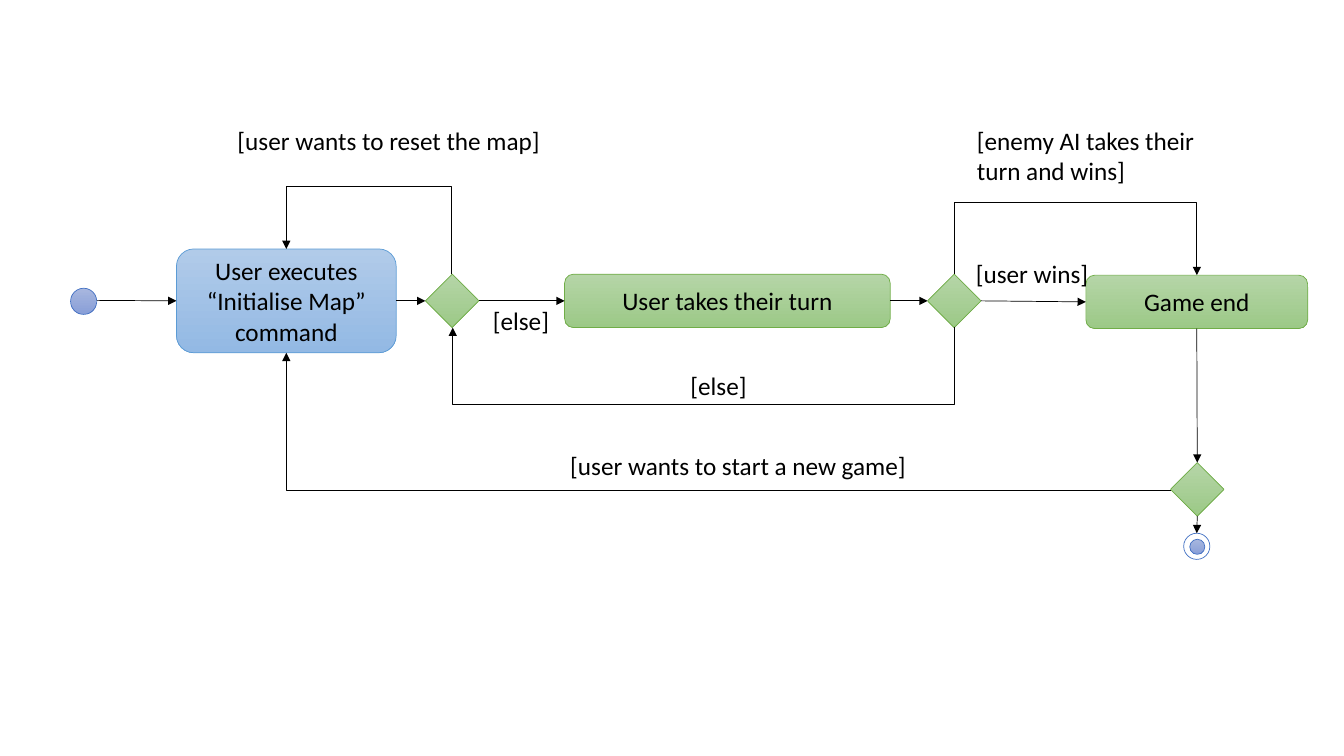
from lxml import etree
from pptx import Presentation
from pptx.dml.color import RGBColor
from pptx.enum.shapes import MSO_CONNECTOR, MSO_SHAPE
from pptx.enum.text import MSO_ANCHOR, MSO_AUTO_SIZE, PP_ALIGN
from pptx.oxml.ns import qn
from pptx.util import Inches, Pt

ELLIPSE, DIAMOND = MSO_SHAPE.OVAL, MSO_SHAPE.DIAMOND
ROUNDED = MSO_SHAPE.ROUNDED_RECTANGLE
STRAIGHT, ELBOW = MSO_CONNECTOR.STRAIGHT, MSO_CONNECTOR.ELBOW
LEFT_ALIGN, CENTER_ALIGN = PP_ALIGN.LEFT, PP_ALIGN.CENTER
MIDDLE, GROW = MSO_ANCHOR.MIDDLE, MSO_AUTO_SIZE.SHAPE_TO_FIT_TEXT
TOP, LEFT, BOTTOM, RIGHT = range(4)

BLACK = RGBColor(0x00, 0x00, 0x00)
WHITE = RGBColor(0xFF, 0xFF, 0xFF)
INDIGO = (RGBColor(0xA8, 0xB7, 0xDF), RGBColor(0x88, 0x9E, 0xD7))
INDIGO_LINE = RGBColor(0x44, 0x72, 0xC4)
BLUE = (RGBColor(0xB1, 0xCB, 0xE9), RGBColor(0x93, 0xB9, 0xE4))
BLUE_LINE = RGBColor(0x5B, 0x9B, 0xD5)
GREEN = (RGBColor(0xB5, 0xD5, 0xA7), RGBColor(0x9C, 0xC9, 0x87))
GREEN_LINE = RGBColor(0x70, 0xAD, 0x47)

FONT, TEXT_SIZE, LINE_WIDTH = "Calibri", Pt(18), Pt(0.5)
NODE_SIZE, DOT_SIZE = 0.53, 0.26


def write(text_frame, text, alignment):
    """Write one run of diagram text into a text frame."""
    text_frame.word_wrap = True
    paragraph = text_frame.paragraphs[0]
    paragraph.alignment = alignment
    run = paragraph.add_run()
    run.text = text
    run.font.name, run.font.size = FONT, TEXT_SIZE
    run.font.color.rgb = BLACK


def add_node(slide, kind, box, colors, line_color, text=None):
    """Add an outlined shape, shaded from top to bottom, with optional text."""
    shape = slide.shapes.add_shape(kind, *map(Inches, box))
    shape.shadow.inherit = False
    if colors:
        shape.fill.gradient()
        shape.fill.gradient_angle = 270
        for stop, color in zip(shape.fill.gradient_stops, colors):
            stop.color.rgb = color
    else:
        shape.fill.solid()
        shape.fill.fore_color.rgb = WHITE
    shape.line.color.rgb = line_color
    shape.line.width = LINE_WIDTH
    if text:
        shape.text_frame.vertical_anchor = MIDDLE
        write(shape.text_frame, text, CENTER_ALIGN)
    return shape


def add_decision(slide, left, top):
    """Add a green decision diamond."""
    return add_node(slide, DIAMOND, (left, top, NODE_SIZE, NODE_SIZE), GREEN, GREEN_LINE)


def add_label(slide, box, text, alignment=LEFT_ALIGN):
    """Add a guard label."""
    label = slide.shapes.add_textbox(*map(Inches, box))
    write(label.text_frame, text, alignment)
    label.text_frame.auto_size = GROW


def style_arrow(connector):
    """Give a connector a thin black line, a triangle head and no shadow."""
    connector.line.color.rgb = BLACK
    connector.line.width = LINE_WIDTH
    etree.SubElement(connector.line._get_or_add_ln(), qn("a:tailEnd"), type="triangle")
    etree.SubElement(connector._element.spPr, qn("a:effectLst"))


def add_arrow(slide, start, end, source=None, target=None):
    """Add a straight arrow, joined to (shape, side) pairs where given."""
    arrow = slide.shapes.add_connector(STRAIGHT, *map(Inches, start + end))
    if source:
        arrow.begin_connect(*source)
    if target:
        arrow.end_connect(*target)
    style_arrow(arrow)


def join(slide, source, source_side, target, target_side):
    """Add a straight arrow between the sides of two shapes."""
    add_arrow(slide, (0, 0), (1, 1), (source, source_side), (target, target_side))


def add_loop(slide, start, end, level):
    """Add a U-shaped arrow that runs along a horizontal level."""
    across, down = end[0] - start[0], end[1] - start[1]
    width, height = abs(down), abs(across)
    left = (start[0] + end[0] - width) / 2
    top = (start[1] + end[1] - height) / 2
    loop = slide.shapes.add_connector(
        ELBOW, *map(Inches, (left, top, left + width, top + height)))
    loop.rotation_element = None
    transform = loop._element.spPr.find(qn("a:xfrm"))
    if down > 0 and across < 0:
        transform.set("rot", "5400000")
    else:
        transform.set("rot", "16200000")
        transform.set("flipH" if down > 0 else "flipV", "1")
    guides = loop._element.spPr.find(qn("a:prstGeom")).find(qn("a:avLst"))
    bend = round((level - start[1]) / down * 100000)
    etree.SubElement(guides, qn("a:gd"), name="adj1", fmla=f"val {bend}")
    style_arrow(loop)


def add_return(slide, start, end):
    """Add an arrow that runs left and then up."""
    corner = slide.shapes.add_connector(ELBOW, *map(Inches, end + start))
    corner._element.spPr.find(qn("a:xfrm")).set("rot", "10800000")
    corner._element.spPr.find(qn("a:prstGeom")).set("prst", "bentConnector2")
    style_arrow(corner)


def draw_setup(slide, left, top):
    """Draw the start dot, map set-up and reset loop; return the decision."""
    add_node(slide, ELLIPSE, (left, top + 1.67, DOT_SIZE, DOT_SIZE), INDIGO, INDIGO_LINE)
    command = add_node(slide, ROUNDED, (left + 1.05, top + 1.28, 2.18, 1.03), BLUE,
                       BLUE_LINE, "User executes “Initialise Map” command")
    decision = add_decision(slide, left + 3.52, top + 1.53)
    add_arrow(slide, (left + DOT_SIZE, top + 1.79), (left + 1.05, top + 1.79),
              target=(command, LEFT))
    join(slide, command, RIGHT, decision, LEFT)
    add_loop(slide, (left + 3.78, top + 1.53), (left + 2.14, top + 1.28), top + 0.66)
    add_label(slide, (left + 1.41, top, 3.49, 0.4), "[user wants to reset the map]",
              CENTER_ALIGN)
    return decision


def draw_turn(slide, left, top, setup_decision):
    """Draw the user's turn and its loop; return the decision."""
    turn = add_node(slide, ROUNDED, (left + 1.12, top, 3.23, NODE_SIZE), GREEN,
                    GREEN_LINE, "User takes their turn")
    decision = add_decision(slide, left + 4.72, top)
    join(slide, setup_decision, RIGHT, turn, LEFT)
    join(slide, turn, RIGHT, decision, LEFT)
    add_loop(slide, (left + 4.99, top + 0.52), (left + 0.01, top + 0.53), top + 1.3)
    add_label(slide, (left + 0.31, top + 0.26, 0.77, 0.4), "[else]")
    add_label(slide, (left + 2.27, top + 0.9, 0.77, 0.4), "[else]")
    return decision


def draw_ending(slide, left, top, turn_decision):
    """Draw the game end, the final decision, the stop dot and the restart."""
    ending = add_node(slide, ROUNDED, (left + 1.31, top + 1.54, 2.2, NODE_SIZE), GREEN,
                      GREEN_LINE, "Game end")
    decision = add_decision(slide, left + 2.15, top + 3.4)
    middle = left + 2.41
    add_node(slide, ELLIPSE, (middle - 0.13, top + 4.1, DOT_SIZE, DOT_SIZE), None,
             INDIGO_LINE)
    add_node(slide, ELLIPSE, (middle - 0.07, top + 4.16, 0.15, 0.15), INDIGO,
             INDIGO_LINE)
    join(slide, turn_decision, RIGHT, ending, LEFT)
    join(slide, ending, BOTTOM, decision, TOP)
    add_arrow(slide, (middle, top + 3.93), (middle, top + 4.1), (decision, BOTTOM))
    add_loop(slide, (left, top + 1.53), (middle, top + 1.54), top + 0.81)
    add_return(slide, (left + 2.15, top + 3.67), (left - 6.62, top + 2.31))
    add_label(slide, (left + 0.13, top, 2.41, 0.71),
              "[enemy AI takes their turn and wins]")
    add_label(slide, (left + 0.12, top + 1.32, 1.39, 0.4), "[user wins]")
    add_label(slide, (left - 4.14, top + 3.23, 4, 0.4),
              "[user wants to start a new game]", CENTER_ALIGN)


def main():
    """Build the game activity diagram."""
    presentation = Presentation()
    presentation.slide_width, presentation.slide_height = Inches(13.33), Inches(7.5)
    slide = presentation.slides.add_slide(presentation.slide_layouts[6])
    setup_decision = draw_setup(slide, 0.7, 1.19)
    turn_decision = draw_turn(slide, 4.48, 2.72, setup_decision)
    draw_ending(slide, 9.46, 1.19, turn_decision)
    presentation.save("out.pptx")


if __name__ == "__main__":
    main()
